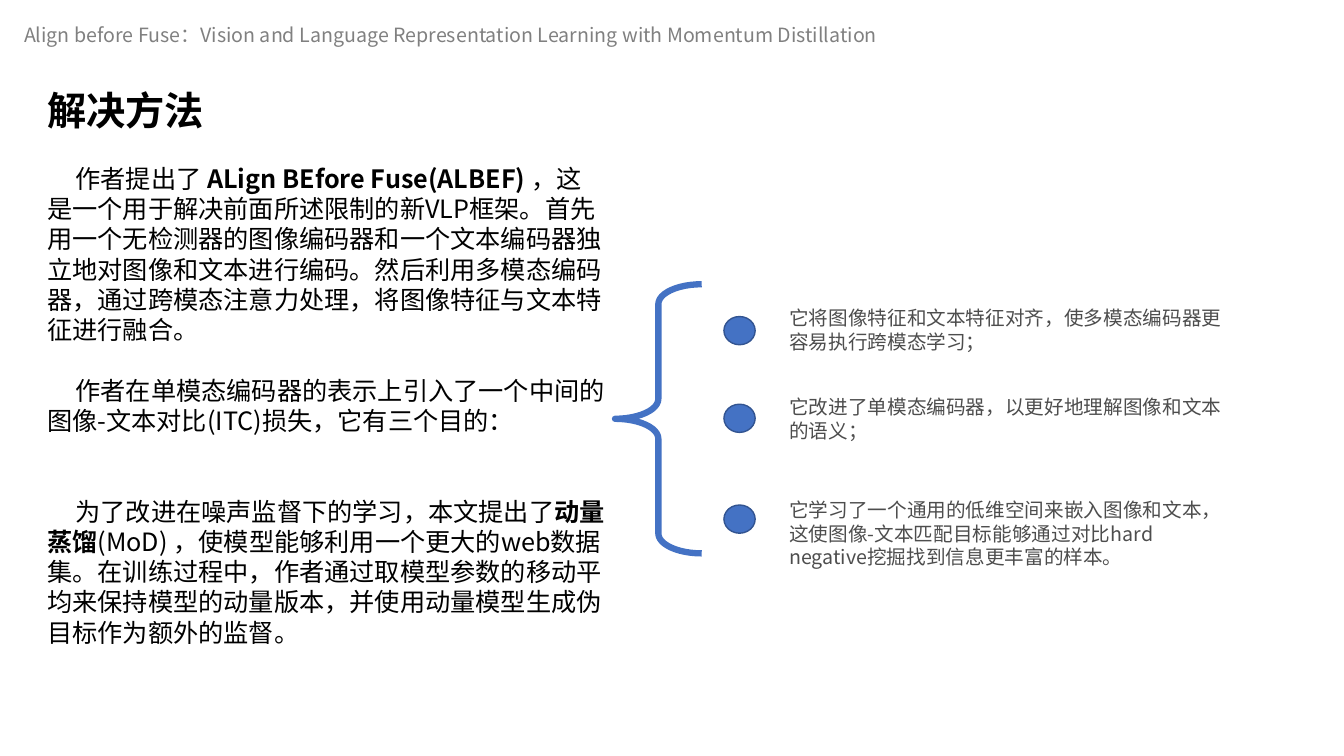
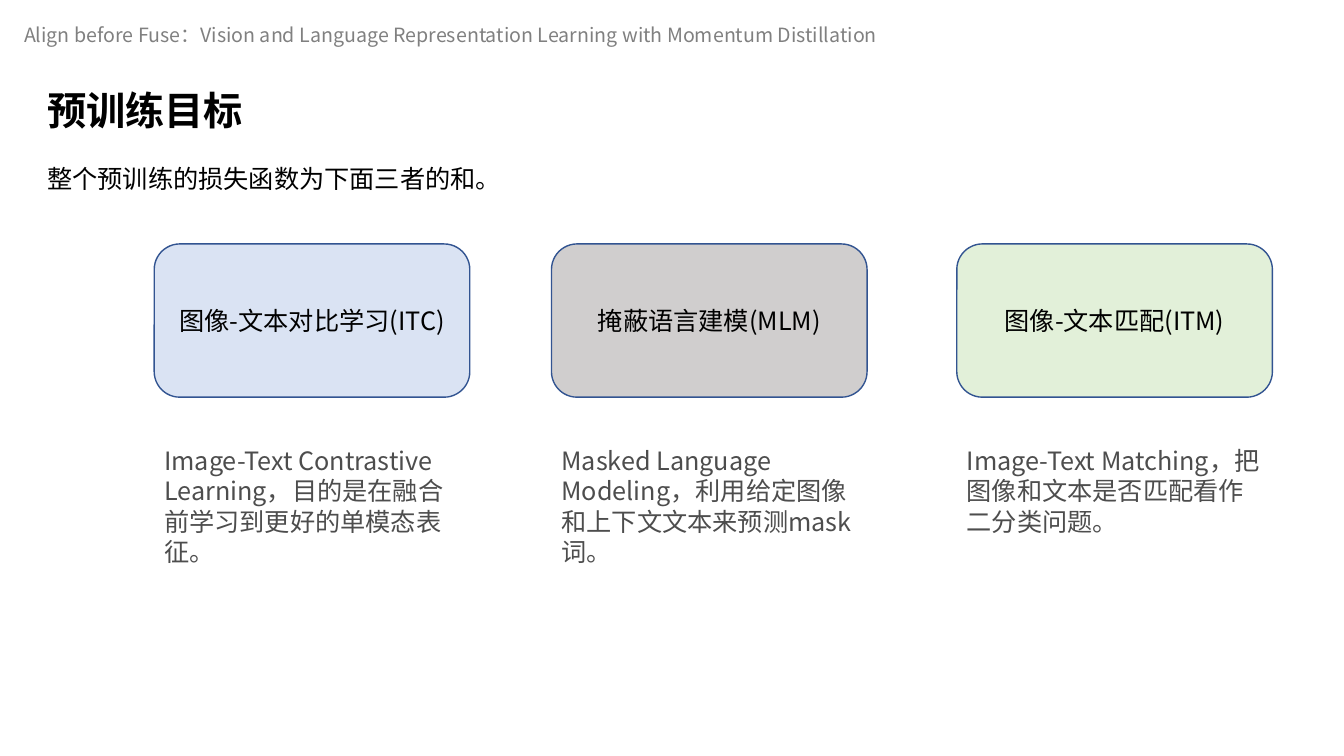
from pptx import Presentation
from pptx.dml.color import RGBColor
from pptx.enum.shapes import MSO_SHAPE
from pptx.enum.text import MSO_ANCHOR, MSO_AUTO_SIZE, PP_ALIGN
from pptx.oxml.ns import qn
from pptx.util import Inches, Pt
from lxml import etree

BRACE = MSO_SHAPE.LEFT_BRACE
OVAL = MSO_SHAPE.OVAL
ROUNDED = MSO_SHAPE.ROUNDED_RECTANGLE
CENTER = PP_ALIGN.CENTER
MIDDLE = MSO_ANCHOR.MIDDLE
GROW = MSO_AUTO_SIZE.SHAPE_TO_FIT_TEXT

FONT = "Noto Sans CJK SC"
COLORS = {
    "black": "000000",
    "header": "808080",
    "note": "4D4D4D",
    "blue": "4472C4",
    "outline": "325491",
    "card_blue": "DAE3F3",
    "card_gray": "D0CECE",
    "card_green": "E2F0D9",
}
HEADER = ("Align before Fuse：Vision and Language Representation Learning "
          "with Momentum Distillation")
LINE = 21.6  # height of one 18 pt text line, in points


class Deck:
    """Holds the style and the slide being filled."""

    def __init__(self):
        self.prs = Presentation()
        self.prs.slide_width = Inches(13.33)
        self.prs.slide_height = Inches(7.5)
        self.slide = None

    def color(self, name):
        return RGBColor.from_string(COLORS[name])

    def new_slide(self, title):
        self.slide = self.prs.slides.add_slide(self.prs.slide_layouts[6])
        self.text(0.14, 0.18, 9.46, 0.34, HEADER, 14, "header")
        self.text(0.37, 0.81, 2.24, 0.57, title, 28, bold=True)

    def run(self, p, text, size, color, bold=False):
        r = p.add_run()
        r.text = text
        r.font.name = FONT
        r.font.size = Pt(size)
        r.font.bold = bold
        r.font.color.rgb = self.color(color)
        etree.SubElement(r.font._element, qn("a:ea"), typeface=FONT)

    def text_box(self, x, y, w, h):
        sp = self.slide.shapes.add_textbox(
            Inches(x), Inches(y), Inches(w), Inches(h))
        tf = sp.text_frame
        tf.word_wrap = True
        tf.auto_size = GROW
        return tf

    def text(self, x, y, w, h, text, size=18, color="black", bold=False):
        tf = self.text_box(x, y, w, h)
        self.run(tf.paragraphs[0], text, size, color, bold)

    def body(self, x, y, w, h, paragraphs):
        """Each paragraph is (blank lines before, [(text, bold), ...])."""
        tf = self.text_box(x, y, w, h)
        for i, (gap, runs) in enumerate(paragraphs):
            p = tf.add_paragraph() if i else tf.paragraphs[0]
            p.space_before = Pt(gap * LINE)
            p._p.get_or_add_pPr().set("indent", str(Inches(0.28)))
            for text, bold in runs:
                self.run(p, text, 18, "black", bold)

    def shape(self, kind, x, y, w, h, fill=None, line="outline", weight=1):
        sp = self.slide.shapes.add_shape(
            kind, Inches(x), Inches(y), Inches(w), Inches(h))
        sp.shadow.inherit = False
        if fill:
            sp.fill.solid()
            sp.fill.fore_color.rgb = self.color(fill)
        else:
            sp.fill.background()
        sp.line.color.rgb = self.color(line)
        sp.line.width = Pt(weight)
        return sp

    def card(self, x, y, w, h, label, fill):
        tf = self.shape(ROUNDED, x, y, w, h, fill).text_frame
        tf.word_wrap = True
        tf.vertical_anchor = MIDDLE
        p = tf.paragraphs[0]
        p.alignment = CENTER
        self.run(p, label, 18, "black")


def build_solution(deck):
    deck.new_slide("解决方法")
    deck.body(0.37, 1.57, 5.74, 5.25, [
        (0, [("作者提出了 ", False),
             ("ALign BEfore Fuse(ALBEF) ", True),
             ("，这是一个用于解决前面所述限制的新VLP框架。首先用一个无检测器的"
              "图像编码器和一个文本编码器独立地对图像和文本进行编码。然后利用"
              "多模态编码器，通过跨模态注意力处理，将图像特征与文本特征进行融合。",
              False)]),
        (1, [("作者在单模态编码器的表示上引入了一个中间的图像-文本对比(ITC)损失，"
              "它有三个目的：", False)]),
        (2, [("为了改进在噪声监督下的学习，本文提出了", False),
             ("动量蒸馏", True),
             ("(MoD) ，使模型能够利用一个更大的web数据集。在训练过程中，"
              "作者通过取模型参数的移动平均来保持模型的动量版本，"
              "并使用动量模型生成伪目标作为额外的监督。", False)]),
    ])

    brace = deck.shape(BRACE, 6.1, 2.82, 0.86, 2.67, line="blue", weight=4.5)
    brace.adjustments[0] = 0.23
    brace.adjustments[1] = 0.5

    purposes = [
        (3.14, 2.99, 0.57,
         "它将图像特征和文本特征对齐，使多模态编码器更容易执行跨模态学习；"),
        (4.01, 3.87, 0.57,
         "它改进了单模态编码器，以更好地理解图像和文本的语义；"),
        (5.01, 4.89, 0.81,
         "它学习了一个通用的低维空间来嵌入图像和文本，这使图像-文本匹配目标"
         "能够通过对比hard negative挖掘找到信息更丰富的样本。"),
    ]
    for dot_y, text_y, h, text in purposes:
        deck.shape(OVAL, 7.18, dot_y, 0.31, 0.28, "blue")
        deck.text(7.73, text_y, 4.5, h, text, 14, "note")


def build_objectives(deck):
    deck.new_slide("预训练目标")
    deck.text(0.37, 1.57, 5.74, 0.4, "整个预训练的损失函数为下面三者的和。")

    objectives = [
        (1.53, "card_blue", "图像-文本对比学习(ITC)",
         "Image-Text Contrastive Learning，目的是在融合前学习到更好的单模态表征。"),
        (5.47, "card_gray", "掩蔽语言建模(MLM)",
         "Masked Language Modeling，利用给定图像和上下文文本来预测mask词。"),
        (9.49, "card_green", "图像-文本匹配(ITM)",
         "Image-Text Matching，把图像和文本是否匹配看作二分类问题。"),
    ]
    for x, fill, label, note in objectives:
        deck.card(x, 2.42, 3.13, 1.52, label, fill)
        deck.text(x, 4.37, 3.13, 1.31, note, color="note")


def main():
    deck = Deck()
    build_solution(deck)
    build_objectives(deck)
    deck.prs.save("out.pptx")


if __name__ == "__main__":
    main()
